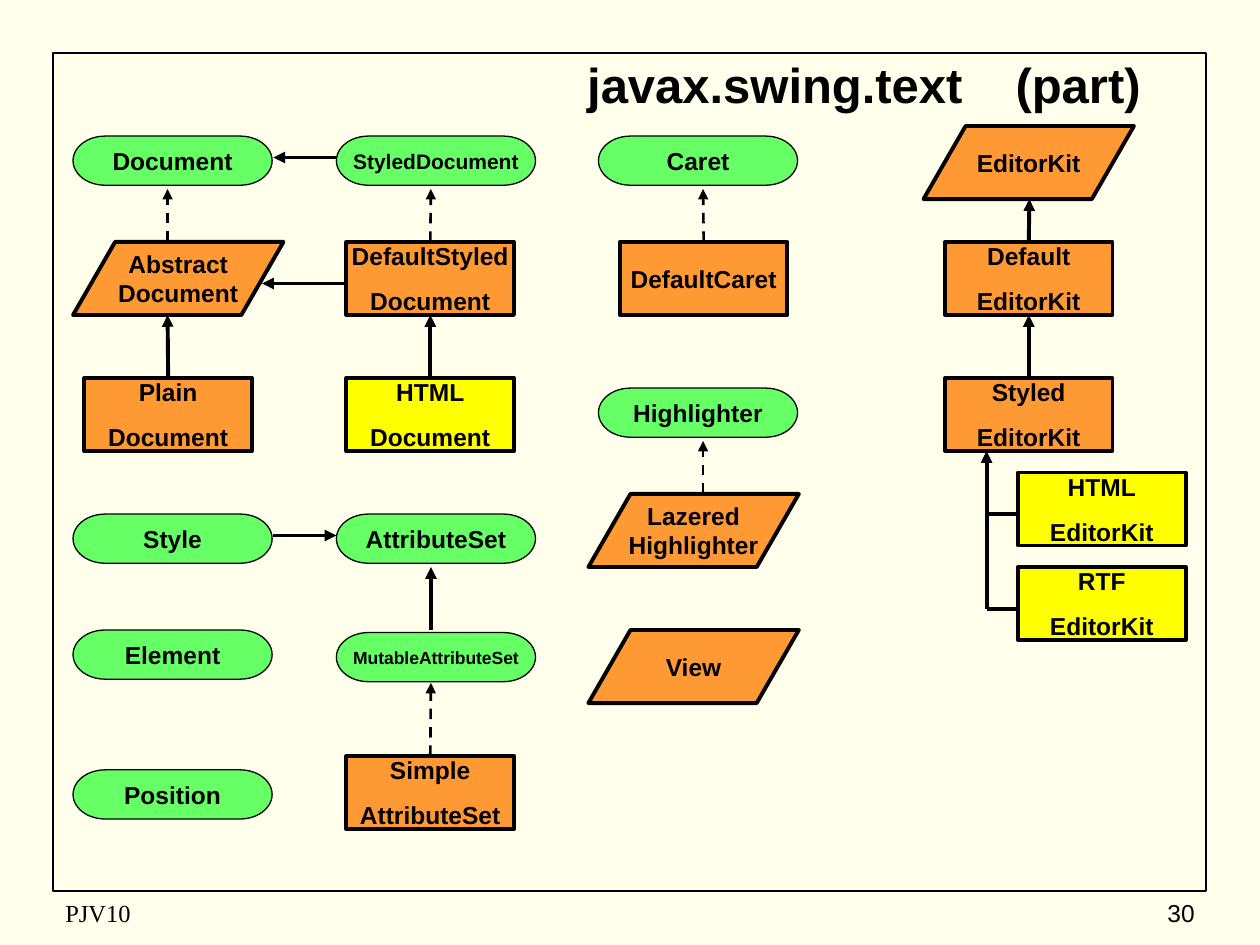
from lxml.etree import SubElement
from pptx import Presentation
from pptx.dml.color import RGBColor
from pptx.enum.dml import MSO_LINE
from pptx.enum.shapes import MSO_CONNECTOR, MSO_SHAPE
from pptx.enum.text import MSO_ANCHOR, PP_ALIGN
from pptx.oxml.ns import qn
from pptx.util import Inches, Pt

GREEN, ORANGE, YELLOW, BLACK = "66FF66", "FF9933", "FFFF00", "000000"
TOP, BOTTOM = 0, 2


def color(value):
    return RGBColor.from_string(value)


class Diagram:
    font = "Arial"

    def __init__(self, deck):
        self.page = deck.slides.add_slide(deck.slide_layouts[5])
        self.page.background.fill.solid()
        self.page.background.fill.fore_color.rgb = color("FFFFEB")

    def style(self, para, size, bold=True, font=None):
        para.font.name = font or self.font
        para.font.size = Pt(size)
        para.font.bold = bold
        para.font.color.rgb = color(BLACK)

    def title(self, text, left, top, width, height, tab):
        box = self.page.shapes.title
        box.left, box.top = Inches(left), Inches(top)
        box.width, box.height = Inches(width), Inches(height)
        frame = box.text_frame
        frame.text = text
        frame.margin_left = Inches(0.24)
        frame.vertical_anchor = MSO_ANCHOR.MIDDLE
        para = frame.paragraphs[0]
        para.alignment = PP_ALIGN.LEFT
        tabs = SubElement(para._p.get_or_add_pPr(), qn("a:tabLst"))
        SubElement(tabs, qn("a:tab"), pos=str(Inches(tab)), algn="l")
        self.style(para, 28)

    def shape(self, kind, left, top, width, height, line, fill=None):
        box = self.page.shapes.add_shape(
            kind, Inches(left), Inches(top), Inches(width), Inches(height))
        box.shadow.inherit = False
        box.line.color.rgb = color(BLACK)
        box.line.width = Pt(line)
        if fill:
            box.fill.solid()
            box.fill.fore_color.rgb = color(fill)
        else:
            box.fill.background()
        return box

    def label(self, box, lines, size=14, gap=0):
        frame = box.text_frame
        frame.word_wrap = False
        frame.vertical_anchor = MSO_ANCHOR.MIDDLE
        for index, text in enumerate(lines):
            para = frame.add_paragraph() if index else frame.paragraphs[0]
            para.text = text
            para.alignment = PP_ALIGN.CENTER
            para.space_before = Pt(gap if index else 0)
            self.style(para, size)

    def interface(self, name, left, top, size=14):
        box = self.shape(MSO_SHAPE.FLOWCHART_TERMINATOR, left, top, 1.58, 0.39, 0.75, GREEN)
        self.label(box, [name], size)

    def abstract_class(self, name, left, top):
        box = self.shape(MSO_SHAPE.FLOWCHART_DATA, left, top, 1.67, 0.58, 2.25, ORANGE)
        self.label(box, name.split())

    def concrete_class(self, name, left, top, fill=ORANGE):
        box = self.shape(MSO_SHAPE.RECTANGLE, left, top, 1.33, 0.58, 2.25, fill)
        self.label(box, name.split(), gap=8.8)
        return box

    def link(self, start, end, dashed=False, arrow=True, begin_box=None, end_box=None):
        line = self.page.shapes.add_connector(
            MSO_CONNECTOR.STRAIGHT, *map(Inches, start + end))
        line.line.color.rgb = color(BLACK)
        line.line.width = Pt(1.5 if dashed else 2.25)
        if dashed:
            line.line.dash_style = MSO_LINE.DASH
        if arrow:
            SubElement(line.line._get_or_add_ln(), qn("a:tailEnd"), type="triangle")
        SubElement(line._element.spPr, qn("a:effectLst"))
        if begin_box:
            line.begin_connect(begin_box, TOP)
        if end_box:
            line.end_connect(end_box, BOTTOM)

    def footer(self, text, left, width, align, font=None):
        box = self.page.shapes.add_textbox(
            Inches(left), Inches(7.08), Inches(width), Inches(0.33))
        frame = box.text_frame
        frame.word_wrap = True
        frame.vertical_anchor = MSO_ANCHOR.MIDDLE
        para = frame.paragraphs[0]
        para.text = text
        para.alignment = align
        self.style(para, 14, False, font)


def main():
    deck = Presentation()
    deck.slide_width, deck.slide_height = Inches(10), Inches(7.5)
    diagram = Diagram(deck)

    # Frame and title
    diagram.shape(MSO_SHAPE.RECTANGLE, 0.42, 0.42, 9.15, 6.65, 1)
    diagram.title("javax.swing.text\t(part)", 4.42, 0.33, 5, 0.67, tab=3.4)

    # Interfaces
    for name, left, top in [
        ("Document", 0.58, 1.08), ("Style", 0.58, 4.08),
        ("Element", 0.58, 5), ("Position", 0.58, 6.11),
        ("AttributeSet", 2.67, 4.08),
        ("Caret", 4.75, 1.08), ("Highlighter", 4.75, 3.08),
    ]:
        diagram.interface(name, left, top)
    diagram.interface("StyledDocument", 2.67, 1.08, size=12)
    diagram.interface("MutableAttributeSet", 2.67, 5.02, size=10)

    # Abstract classes
    for name, left, top in [
        ("Abstract Document", 0.58, 1.92), ("EditorKit", 7.33, 1),
        ("Lazered Highlighter", 4.67, 3.92), ("View", 4.67, 5),
    ]:
        diagram.abstract_class(name, left, top)

    # Concrete classes
    plain = diagram.concrete_class("Plain Document", 0.67, 3)
    styled = diagram.concrete_class("DefaultStyled Document", 2.75, 1.92)
    html = diagram.concrete_class("HTML Document", 2.75, 3, YELLOW)
    simple = diagram.concrete_class("Simple AttributeSet", 2.75, 6)
    caret = diagram.concrete_class("DefaultCaret", 4.92, 1.92)
    default_kit = diagram.concrete_class("Default EditorKit", 7.5, 1.92)
    styled_kit = diagram.concrete_class("Styled EditorKit", 7.5, 3)
    diagram.concrete_class("HTML EditorKit", 8.08, 3.75, YELLOW)
    diagram.concrete_class("RTF EditorKit", 8.08, 4.5, YELLOW)

    # Dashed arrows: class implements interface
    for x, bottom, top, box in [
        (1.33, 1.92, 1.5, None), (3.42, 1.92, 1.5, styled),
        (5.58, 1.92, 1.5, caret), (5.58, 3.92, 3.5, None),
        (3.42, 6, 5.42, simple),
    ]:
        diagram.link((x, bottom), (x, top), dashed=True, begin_box=box)

    # Solid vertical arrows: type extends type
    for x, bottom, top, lower, upper in [
        (1.33, 3, 2.5, plain, None), (3.42, 3, 2.5, html, styled),
        (3.42, 5, 4.5, None, None), (8.17, 1.92, 1.58, default_kit, None),
        (8.17, 3, 2.5, styled_kit, default_kit), (7.83, 4.83, 3.58, None, None),
    ]:
        diagram.link((x, bottom), (x, top), begin_box=lower, end_box=upper)

    # Solid horizontal arrows
    for start, end, y in [(2.67, 2.17, 1.25), (2.75, 2.08, 2.25), (2.17, 2.67, 4.25)]:
        diagram.link((start, y), (end, y))

    # Branches to the editor kits
    for y in (4.08, 4.83):
        diagram.link((7.83, y), (8.08, y), arrow=False)

    # Footer
    diagram.footer("PJV10", 0.42, 3.17, PP_ALIGN.LEFT, "Times New Roman")
    diagram.footer("30", 7.5, 2.08, PP_ALIGN.RIGHT)

    deck.save("out.pptx")


if __name__ == "__main__":
    main()
